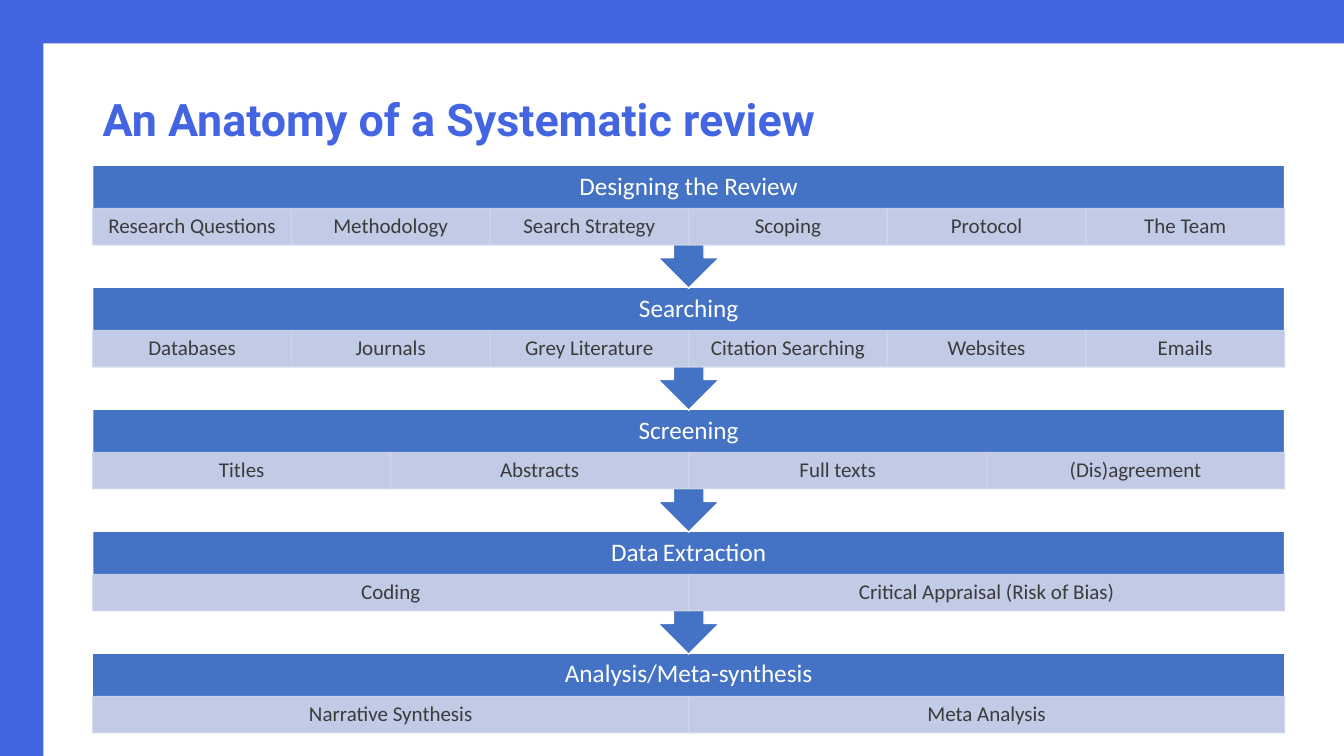
from lxml import etree
from pptx import Presentation
from pptx import util as u
from pptx.dml.color import RGBColor
from pptx.enum import shapes, text
from pptx.oxml.ns import qn

COLORS = {"frame": "4365E2", "stage": "4472C4", "step": "CFD5EA",
          "dark": "3B3B3B", "white": "FFFFFF"}
WIDTH, HEIGHT = 13.33, 7.5
LEFT, TOP = 0.92, 1.64
COLUMNS, COLUMN, ROW = 12, 0.985, 1.21
HEADER, STEP = 0.43, 0.36
CALLOUT, LAST_BLOCK = 1.22, 0.79

STAGES = [
    (["Designing the Review"],
     ["Research Questions", "Methodology", "Search Strategy", "Scoping", "Protocol", "The Team"]),
    (["Searching"],
     ["Databases", "Journals", "Grey Literature", "Citation Searching", "Websites", "Emails"]),
    (["Screening"], ["Titles", "Abstracts", "Full texts", "(Dis)agreement"]),
    (["Data", " ", "Extraction"], ["Coding", "Critical Appraisal (Risk of Bias)"]),
    (["Analysis/Meta-synthesis"], ["Narrative Synthesis", "Meta Analysis"]),
]


def write(box, pieces, size, color, font="Calibri", bold=False, gap_size=13,
          align=text.PP_ALIGN.CENTER, inset=(0.1, 0.05)):
    frame = box.text_frame
    frame.word_wrap = True
    frame.vertical_anchor = text.MSO_ANCHOR.MIDDLE
    frame.margin_left = frame.margin_right = u.Inches(inset[0])
    frame.margin_top = frame.margin_bottom = u.Inches(inset[1])
    para = frame.paragraphs[0]
    para.alignment = align
    para.line_spacing = 0.9
    for piece in pieces:
        span = para.add_run()
        span.text = piece
        span.font.name = font
        span.font.size = u.Pt(gap_size if piece == " " else size)
        span.font.bold = bold
        span.font.color.rgb = RGBColor.from_string(COLORS[color])


class Slide:
    def __init__(self, deck):
        self.page = deck.slides.add_slide(deck.slide_layouts[6])

    def place(self, column, row, columns, height, offset=0):
        lengths = (LEFT + column * COLUMN, TOP + row * ROW + offset, columns * COLUMN, height)
        return [u.Inches(length) for length in lengths]

    def block(self, place, fill, line=None, kind=shapes.MSO_SHAPE.RECTANGLE, opacity=100):
        box = self.page.shapes.add_shape(kind, *place)
        box.shadow.inherit = False
        box.fill.solid()
        box.fill.fore_color.rgb = RGBColor.from_string(COLORS[fill])
        if line:
            box.line.color.rgb = RGBColor.from_string(COLORS[line])
            box.line.width = u.Pt(1)
        else:
            box.line.fill.background()
        if opacity < 100:
            for color in box._element.spPr.iter(qn("a:srgbClr")):
                etree.SubElement(color, qn("a:alpha")).set("val", str(opacity * 1000))
        return box

    def label(self, place, pieces, **style):
        write(self.page.shapes.add_textbox(*place), pieces, **style)

    def frame(self, thickness):
        for width, height in ((thickness, HEIGHT), (WIDTH, thickness)):
            self.block([0, 0, u.Inches(width), u.Inches(height)], "frame")

    def title(self, words):
        self.label([u.Inches(n) for n in (LEFT, 0.85, 7.65, 0.73)], [words], size=32,
                   color="frame", font="Roboto", bold=True, align=text.PP_ALIGN.LEFT)

    def stage(self, row, heading, steps, last):
        if last:
            self.block(self.place(0, row, COLUMNS, LAST_BLOCK), "stage", "white")
        else:
            callout = self.block(self.place(0, row, COLUMNS, CALLOUT), "stage", "white",
                                 shapes.MSO_SHAPE.UP_ARROW_CALLOUT)
            callout.rotation = 180
        self.label(self.place(0, row, COLUMNS, HEADER), heading,
                   size=18, color="white", inset=(0.14, 0.14))
        span = COLUMNS / len(steps)
        for index, step in enumerate(steps):
            place = self.place(index * span, row, span, STEP, offset=HEADER)
            box = self.block(place, "step", "step", opacity=90)
            write(box, [step], size=15, color="dark", inset=(0.12, 0.02))


def main():
    deck = Presentation()
    deck.slide_width, deck.slide_height = u.Inches(WIDTH), u.Inches(HEIGHT)
    slide = Slide(deck)
    slide.frame(0.43)
    slide.title("An Anatomy of a Systematic review")
    final = len(STAGES) - 1
    for row, (heading, steps) in reversed(list(enumerate(STAGES))):
        slide.stage(row, heading, steps, last=row == final)
    deck.save("out.pptx")


if __name__ == "__main__":
    main()
